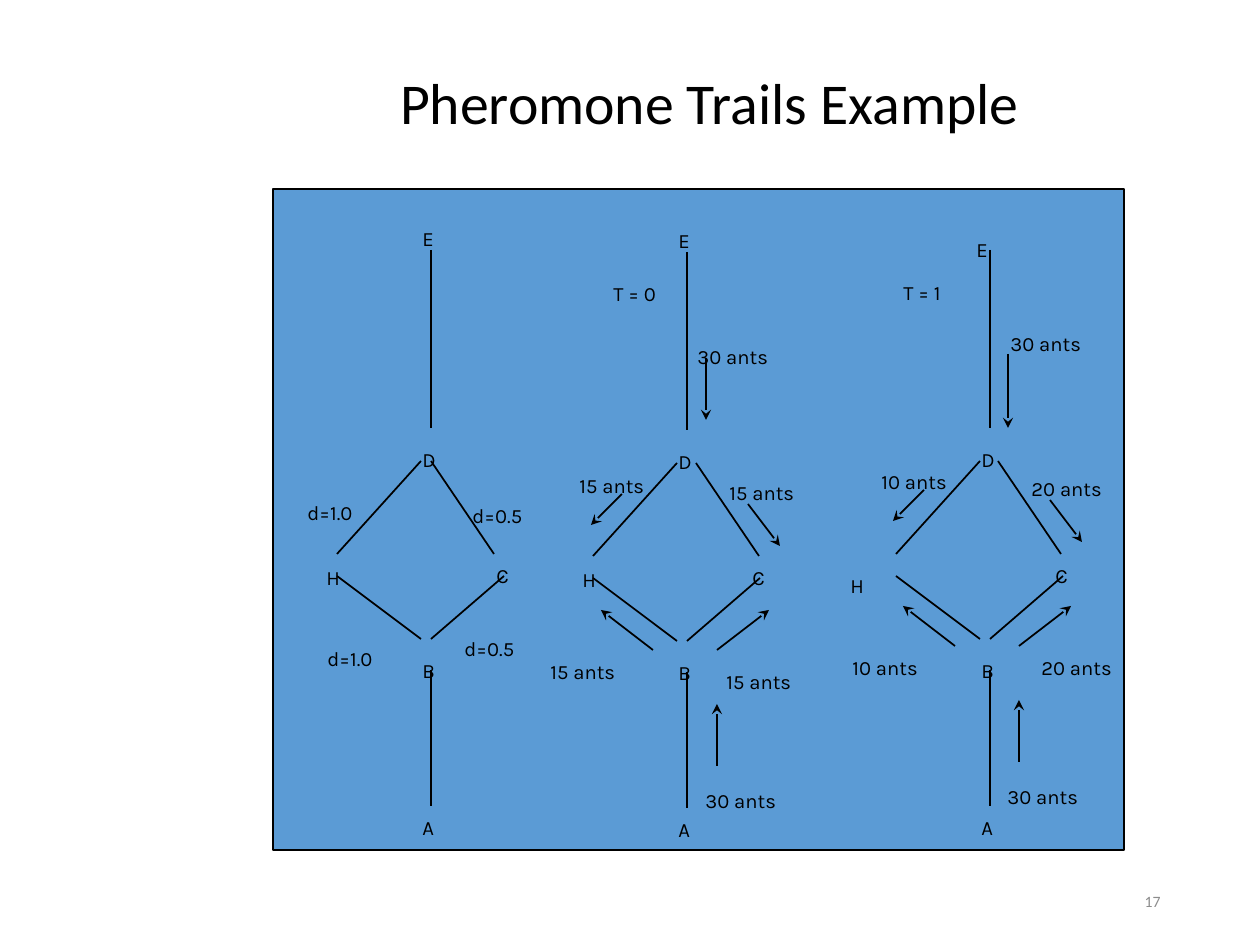
from lxml.etree import SubElement
from pptx import Presentation
from pptx.dml.color import RGBColor
from pptx.enum.shapes import MSO_CONNECTOR, MSO_SHAPE
from pptx.enum.text import MSO_ANCHOR, MSO_AUTO_SIZE, PP_ALIGN
from pptx.oxml.ns import qn
from pptx.util import Emu, Pt

SCALE = 914400 / 126
BLACK = "000000"

EDGES = [
    (0, 0, 0, 178),
    (-10, 211, -94, 304),
    (73, 326, 0, 389),
    (-94, 326, -10, 389),
    (0, 420, 0, 556),
]
NODES = {
    "E": (-21, -53, 45),
    "D": (-21, 168, 40),
    "H": (-117, 286, 40),
    "C": (53, 284, 39),
    "B": (-21, 379, 39),
    "A": (-21, 536, 39),
}
DISTANCES = [
    ("d=1.0", -136, 221),
    ("d=0.5", 29, 224),
    ("d=1.0", -116, 367),
    ("d=0.5", 21, 357),
]
ARROWS = [
    (61, 252, 93, 294),
    (-65, 242, -96, 273),
    (30, 398, 82, 358),
    (-34, 398, -86, 358),
    (30, 514, 30, 452),
]


def px(n):
    """Turn pixels into EMU."""
    return Emu(round(n * SCALE))


def color(value):
    """Turn a hex string into a colour."""
    return RGBColor.from_string(value)


def add_panel(s, x, y, w, h):
    """Add the blue panel behind the graphs."""
    sp = s.shapes.add_shape(MSO_SHAPE.RECTANGLE, px(x), px(y), px(w), px(h))
    sp.shadow.inherit = False
    sp.fill.solid()
    sp.fill.fore_color.rgb = color("5B9BD5")
    sp.line.color.rgb = color(BLACK)
    sp.line.width = Pt(0.75)


def add_text(s, text, x, y, w, h, size, font="Calibri", fill=BLACK,
             align=PP_ALIGN.LEFT, anchor=MSO_ANCHOR.MIDDLE):
    """Add a one-line text box and return it."""
    sp = s.shapes.add_textbox(px(x), px(y), px(w), px(h))
    tf = sp.text_frame
    tf.word_wrap = True
    tf.vertical_anchor = anchor
    tf.text = text
    p = tf.paragraphs[0]
    p.alignment = align
    r = p.runs[0]
    r.font.size = Pt(size)
    r.font.name = font
    r.font.color.rgb = color(fill)
    return sp


def add_label(s, text, x, y, w):
    """Add a lowered graph label."""
    sp = add_text(s, text, x, y, w, 40, 20, "Karla", anchor=MSO_ANCHOR.TOP)
    tf = sp.text_frame
    tf.auto_size = MSO_AUTO_SIZE.SHAPE_TO_FIT_TEXT
    tf.paragraphs[0].runs[0].font._element.set("baseline", "-25000")


def add_line(s, x1, y1, x2, y2, arrow=False):
    """Add a black line, with an arrowhead at its end if asked."""
    sp = s.shapes.add_connector(MSO_CONNECTOR.STRAIGHT, px(x1), px(y1), px(x2), px(y2))
    sp.line.color.rgb = color(BLACK)
    sp.line.width = Pt(1)
    if arrow:
        SubElement(sp.line._get_or_add_ln(), qn("a:tailEnd"), type="stealth")
    SubElement(sp._element.spPr, qn("a:effectLst"))


def add_graph(s, x, y, dc_x, moved={}):
    """Add the trail graph whose top is at x, y."""
    for x1, y1, x2, y2 in EDGES + [(dc_x, 211, dc_x + 63, 304)]:
        add_line(s, x + x1, y + y1, x + x2, y + y2)
    for name, (dx, dy, w) in {**NODES, **moved}.items():
        add_label(s, name, x + dx, y + dy, w)


def add_flow(s, x, y, time, left, right, time_at, top_at, low_right_at, top_end):
    """Add the ant counts and direction arrows of one time step."""
    for x1, y1, x2, y2 in ARROWS + [(19, 106, 19, top_end)]:
        add_line(s, x + x1, y + y1, x + x2, y + y2, arrow=True)
    counts = [
        (30, top_at),
        (left, (-120, 192)),
        (right, (30, 199)),
        (left, (-149, 378)),
        (right, low_right_at),
        (30, (6, 507)),
    ]
    for count, (dx, dy) in counts:
        add_label(s, f"{count} ants", x + dx, y + dy, 100)
    add_label(s, f"T = {time}", x + time_at[0], y + time_at[1], 82)


def main():
    """Build the slide and save it."""
    prs = Presentation()
    prs.slide_width, prs.slide_height = px(1260), px(945)
    s = prs.slides.add_slide(prs.slide_layouts[6])
    add_panel(s, 273, 189, 851, 661)
    sp = add_text(s, "Pheromone Trails Example", 174, 64, 1071, 83, 33,
                  align=PP_ALIGN.CENTER)
    sp.text_frame.paragraphs[0].line_spacing = 0.9

    add_graph(s, 431, 250, 0)
    for text, dx, dy in DISTANCES:
        add_label(s, text, 431 + dx, 250 + dy, 93)
    add_graph(s, 687, 252, 9)
    add_flow(s, 687, 252, 0, 15, 15, (-86, 0), (-2, 63), (27, 388), 168)
    add_graph(s, 990, 250, 8, {"E": (-26, -42, 45), "H": (-152, 294, 40)})
    add_flow(s, 989, 248, 1, 10, 20, (-98, 3), (9, 54), (40, 378), 180)

    add_text(s, "17", 890, 876, 283, 50, 9, fill="8C8C8C", align=PP_ALIGN.RIGHT)
    prs.save("out.pptx")


if __name__ == "__main__":
    main()
